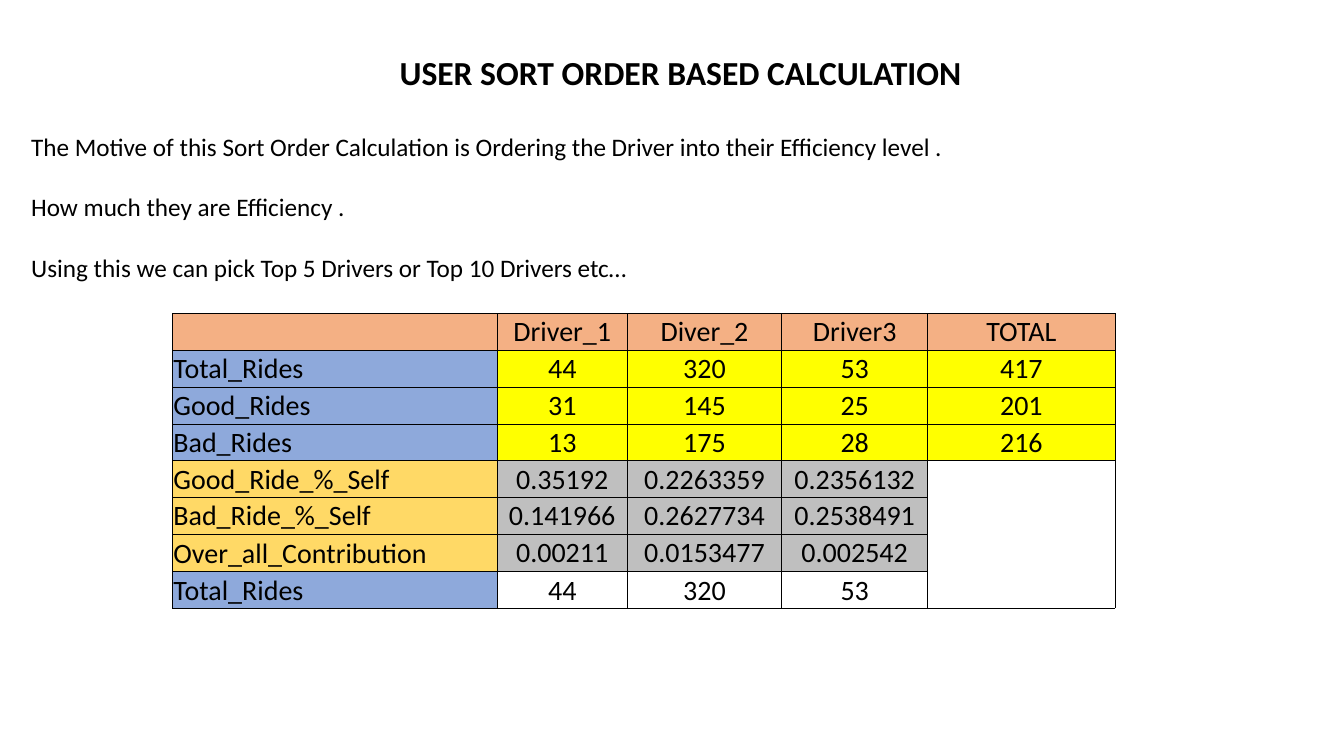
import pptx
import pptx.util
import pptx.dml.color
import pptx.enum.text
import pptx.oxml
import pptx.oxml.ns
from pptx.util import Cm, Pt

FONT = "Calibri"
COLORS = {
    "text": "000000",
    "header": "F4B084",
    "count_label": "8EA9DB",
    "count": "FFFF00",
    "ratio_label": "FFD966",
    "ratio": "BFBFBF",
}
ALIGN = pptx.enum.text.PP_ALIGN
ANCHOR = pptx.enum.text.MSO_ANCHOR
NO_STYLE = "{2D5ABB26-0587-4C30-8999-92F81FD0307C}"

HEADING = "USER SORT ORDER BASED CALCULATION "
MOTIVES = [
    "The Motive of this Sort Order Calculation is Ordering the Driver into their Efficiency level .",
    "How much they are Efficiency .",
    "Using this we can pick Top 5 Drivers or Top 10 Drivers etc…",
]
COLUMN_WIDTHS = [8.18, 3.28, 3.89, 3.68, 4.72]
RIDES = [
    ("header", "header", ["", "Driver_1", "Diver_2", "Driver3", "TOTAL"]),
    ("count_label", "count", ["Total_Rides", "44", "320", "53", "417"]),
    ("count_label", "count", ["Good_Rides", "31", "145", "25", "201"]),
    ("count_label", "count", ["Bad_Rides", "13", "175", "28", "216"]),
    ("ratio_label", "ratio", ["Good_Ride_%_Self", "0.35192", "0.2263359", "0.2356132", ""]),
    ("ratio_label", "ratio", ["Bad_Ride_%_Self", "0.141966", "0.2627734", "0.2538491", ""]),
    ("ratio_label", "ratio", ["Over_all_Contribution", "0.00211", "0.0153477", "0.002542", ""]),
    ("count_label", None, ["Total_Rides", "44", "320", "53", ""]),
]
FIRST_RATIO_ROW = 4
BOTTOM_ANCHORED = {(4, 1), (4, 2), (4, 3), (6, 0), (7, 0), (7, 1), (7, 2), (7, 3)}


def rgb(name):
    return pptx.dml.color.RGBColor.from_string(COLORS[name])


def format_runs(paragraph, size, bold=False):
    for run in paragraph.runs:
        run.font.name = FONT
        run.font.size = Pt(size)
        run.font.bold = bold
        run.font.color.rgb = rgb("text")


def place(placeholder, left, top, width, height):
    placeholder.left, placeholder.top = Cm(left), Cm(top)
    placeholder.width, placeholder.height = Cm(width), Cm(height)
    frame = placeholder.text_frame
    frame.word_wrap = True
    frame.auto_size = pptx.enum.text.MSO_AUTO_SIZE.NONE
    frame.vertical_anchor = ANCHOR.TOP
    return frame


def add_heading(slide, left, top, width, height):
    heading = place(slide.shapes.title, left, top, width, height)
    heading.text = HEADING
    heading.paragraphs[0].alignment = ALIGN.CENTER
    format_runs(heading.paragraphs[0], 24, bold=True)


def add_motives(slide, left, top, width, height):
    motives = place(slide.placeholders[1], left, top, width, height)
    motives.text = "\n".join(MOTIVES)
    for motive in motives.paragraphs:
        motive.alignment = ALIGN.LEFT
        motive.space_before = Pt(0)
        motive.space_after = Pt(21.6)
        properties = motive._p.get_or_add_pPr()
        properties.set("marL", "0")
        properties.set("indent", "0")
        properties.append(pptx.oxml.parse_xml(
            f'<a:buNone {pptx.oxml.ns.nsdecls("a")}/>'))
        format_runs(motive, 18)


def add_borders(cell):
    properties = cell._tc.get_or_add_tcPr()
    for index, side in enumerate(("lnL", "lnR", "lnT", "lnB")):
        properties.insert(index, pptx.oxml.parse_xml(
            f'<a:{side} {pptx.oxml.ns.nsdecls("a")} w="{Pt(0.5)}">'
            f'<a:solidFill><a:srgbClr val="{COLORS["text"]}"/></a:solidFill>'
            f'</a:{side}>'))


def fill_cell(cell, text, color, alignment, anchor):
    cell.text = text
    cell.margin_left = cell.margin_right = cell.margin_top = Cm(0.02)
    cell.margin_bottom = Cm(0)
    cell.vertical_anchor = anchor
    cell.text_frame.paragraphs[0].alignment = alignment
    format_runs(cell.text_frame.paragraphs[0], 20)
    if color:
        cell.fill.solid()
        cell.fill.fore_color.rgb = rgb(color)
    else:
        cell.fill.background()
    add_borders(cell)


def add_rides(slide, left, top, width, height):
    rides = slide.shapes.add_table(
        len(RIDES), len(COLUMN_WIDTHS), Cm(left), Cm(top), Cm(width), Cm(height)).table
    rides.first_row = rides.horz_banding = False
    rides._tbl.tblPr.find(pptx.oxml.ns.qn("a:tableStyleId")).text = NO_STYLE
    for column, share in zip(rides.columns, COLUMN_WIDTHS):
        column.width = Cm(width * share / sum(COLUMN_WIDTHS))
    total_column = len(COLUMN_WIDTHS) - 1
    for row, (label_color, value_color, texts) in enumerate(RIDES):
        for column, text in enumerate(texts):
            color = value_color if column else label_color
            if column == total_column and row >= FIRST_RATIO_ROW:
                color = None
            anchor = ANCHOR.BOTTOM if (row, column) in BOTTOM_ANCHORED else ANCHOR.MIDDLE
            fill_cell(rides.cell(row, column), text, color,
                      ALIGN.CENTER if column else ALIGN.LEFT, anchor)
    rides.cell(FIRST_RATIO_ROW, total_column).merge(
        rides.cell(len(RIDES) - 1, total_column))


def main():
    presentation = pptx.Presentation()
    presentation.slide_width, presentation.slide_height = Cm(33.87), Cm(19.05)
    slide = presentation.slides.add_slide(presentation.slide_layouts[1])
    for footer in list(slide.placeholders)[2:]:
        footer.element.getparent().remove(footer.element)
    add_heading(slide, 1.14, 1.19, 32.21, 1.28)
    add_motives(slide, 0.53, 3.18, 33.34, 4.11)
    add_rides(slide, 4.35, 7.9, 23.75, 7.42)
    presentation.save("out.pptx")


if __name__ == "__main__":
    main()
